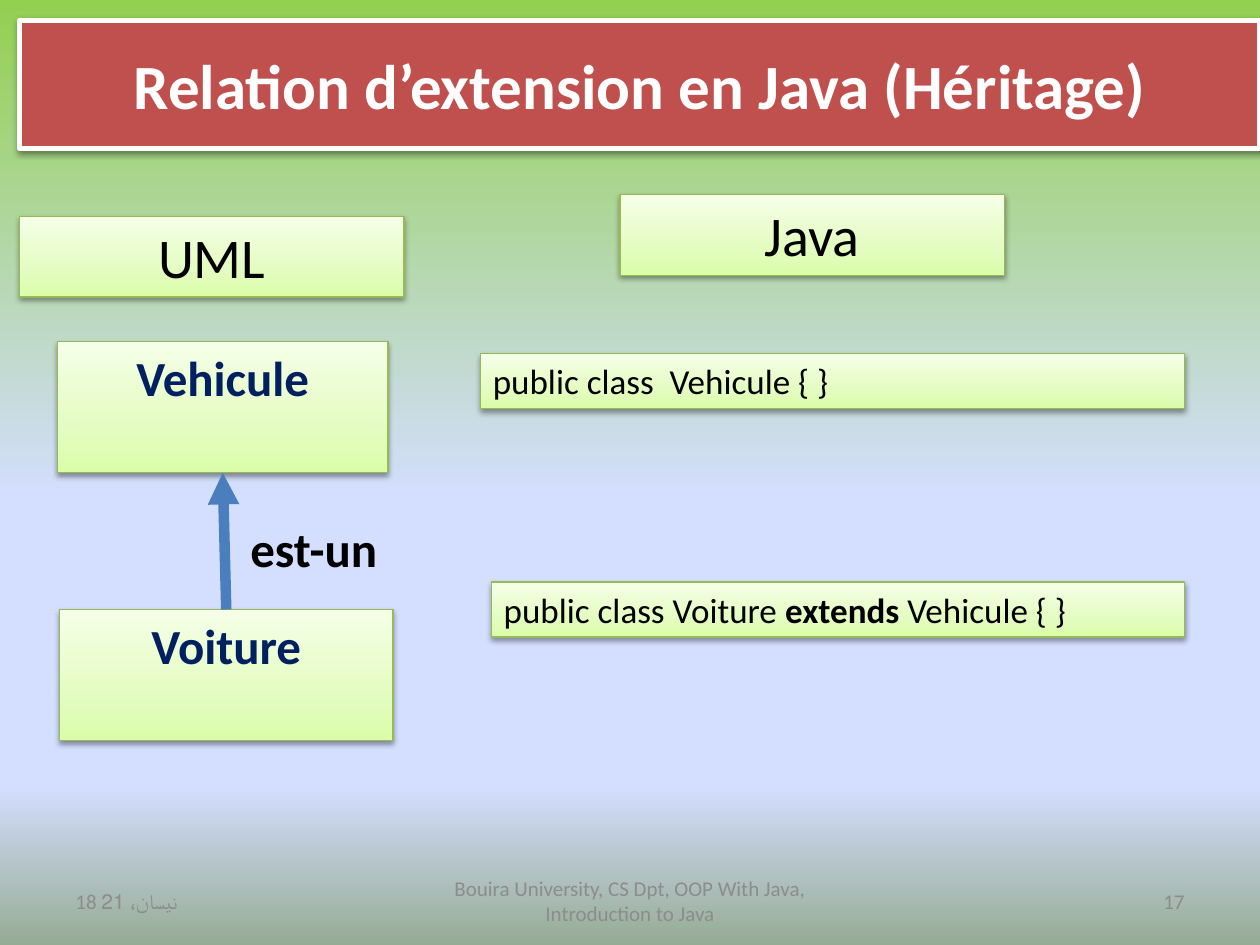
import pptx
import pptx.dml.color
import pptx.enum.shapes
import pptx.enum.text
import pptx.oxml
import pptx.oxml.ns
import pptx.util
from dataclasses import dataclass
from lxml import etree

Pt = pptx.util.Pt
ALIGN = pptx.enum.text.PP_ALIGN
ANCHOR = pptx.enum.text.MSO_ANCHOR
qn = pptx.oxml.ns.qn


@dataclass(frozen=True)
class Theme:
    font: str = "Calibri"
    title_size: int = 36
    heading_size: int = 32
    class_size: int = 28
    code_size: int = 20
    footer_size: int = 12
    white: str = "FFFFFF"
    black: str = "000000"
    navy: str = "002060"
    grey: str = "8C8C8C"
    red: str = "C0504D"
    blue: str = "4B7EBC"
    border: str = "98B955"
    panel: tuple = ((0, "DAFDA7"), (35, "E4FCC2"), (100, "F5FFE7"))
    backdrop: tuple = ((0, "92D050"), (53, "D4DEFF"), (83, "D4DEFF"), (100, "96AB94"))


def color(code):
    return pptx.dml.color.RGBColor.from_string(code)


def add_node(parent, tag, **attributes):
    values = {name: str(value) for name, value in attributes.items()}
    return etree.SubElement(parent, qn(tag), values)


class SlideBuilder:
    def __init__(self, page, theme):
        self.page = page
        self.theme = theme

    def gradient(self, fill, owner, stops, angle):
        """Fill with any number of stops; the angle runs counter-clockwise."""
        fill.gradient()
        fill.gradient_angle = angle
        stop_list = next(owner.iter(qn("a:gsLst")))
        for stop in list(stop_list):
            stop_list.remove(stop)
        for percent, code in stops:
            stop = add_node(stop_list, "a:gs", pos=percent * 1000)
            add_node(stop, "a:srgbClr", val=code)

    def background(self):
        self.gradient(self.page.background.fill, self.page.element, self.theme.backdrop, 270)

    def shadow(self, shape):
        shape.shadow.inherit = False
        effects = next(shape.element.iter(qn("a:effectLst")))
        outer = add_node(effects, "a:outerShdw", blurRad=Pt(3.1), dist=Pt(1.6),
                         dir=90 * 60000, rotWithShape=0)
        add_node(add_node(outer, "a:srgbClr", val=self.theme.black), "a:alpha", val=38000)

    def set_text(self, shape, spans, size, code, align, anchor, bold=False):
        """Fill one paragraph; spans is a string or (text, bold) pairs."""
        frame = shape.text_frame
        frame.word_wrap = True
        frame.vertical_anchor = anchor
        para = frame.paragraphs[0]
        para.alignment = align
        para.font.name = self.theme.font
        para.font.size = Pt(size)
        para.font.bold = bold
        para.font.color.rgb = color(code)
        if isinstance(spans, str):
            spans = [(spans, bold)]
        for text, heavy in spans:
            span = para.add_run()
            span.text = text
            if heavy != bold:
                span.font.bold = heavy

    def box(self, bounds, line_code, line_width):
        shape = self.page.shapes.add_shape(
            pptx.enum.shapes.MSO_SHAPE.RECTANGLE, *map(Pt, bounds))
        shape.line.color.rgb = color(line_code)
        shape.line.width = Pt(line_width)
        self.shadow(shape)
        return shape

    def title(self, bounds, text):
        shape = self.box(bounds, self.theme.white, 3)
        shape.fill.solid()
        shape.fill.fore_color.rgb = color(self.theme.red)
        self.set_text(shape, text, self.theme.title_size, self.theme.white,
                      ALIGN.CENTER, ANCHOR.MIDDLE, bold=True)

    def panel(self, bounds, spans, size, code, align=ALIGN.CENTER, bold=False):
        shape = self.box(bounds, self.theme.border, 0.75)
        self.gradient(shape.fill, shape.element, self.theme.panel, 90)
        self.set_text(shape, spans, size, code, align, ANCHOR.TOP, bold)

    def heading(self, left, top, text):
        self.panel((left, top, 219.6, 46), text, self.theme.heading_size, self.theme.black)

    def class_box(self, left, top, width, name):
        self.panel((left, top, width, 75), name, self.theme.class_size,
                   self.theme.navy, bold=True)

    def code(self, left, top, width, spans):
        self.panel((left, top, width, 31.5), spans, self.theme.code_size,
                   self.theme.black, ALIGN.LEFT)

    def label(self, bounds, text, size, code, align=ALIGN.LEFT, anchor=ANCHOR.TOP, bold=False):
        shape = self.page.shapes.add_textbox(*map(Pt, bounds))
        self.set_text(shape, text, size, code, align, anchor, bold)

    def footer(self, left, width, text, align):
        self.label((left, 500.5, width, 28.75), text, self.theme.footer_size,
                   self.theme.grey, align, ANCHOR.MIDDLE)

    def arrow(self, start, end):
        connector = self.page.shapes.add_connector(
            pptx.enum.shapes.MSO_CONNECTOR.STRAIGHT, *map(Pt, start + end))
        connector.line.color.rgb = color(self.theme.blue)
        connector.line.width = Pt(6)
        add_node(next(connector.element.iter(qn("a:ln"))), "a:tailEnd", type="triangle")
        add_node(connector.element.spPr, "a:effectLst")


def main():
    deck = pptx.Presentation()
    deck.slide_width, deck.slide_height = Pt(720), Pt(540)
    theme = Theme()
    slide = SlideBuilder(deck.slides.add_slide(deck.slide_layouts[6]), theme)

    slide.background()
    slide.title((11.25, 11.5, 708.75, 73.5), "Relation d’extension en Java (Héritage)")
    slide.heading(11.25, 123.75, "UML")
    slide.heading(354.3, 111.3, "Java")

    slide.footer(246, 228, "Bouira University, CS Dpt, OOP With Java, Introduction to Java",
                 ALIGN.CENTER)
    slide.footer(516, 168, "17", ALIGN.RIGHT)
    slide.footer(36, 168, "18 نيسان، 21", ALIGN.LEFT)

    slide.code(274.5, 202, 402.5, "public class  Vehicule { }")
    slide.code(280.75, 332.5, 396.25, [("public class Voiture ", False), ("extends ", True),
                                       ("Vehicule { }", False)])

    slide.class_box(32.9, 195.2, 188.8, "Vehicule")
    slide.class_box(34, 348.3, 190.6, "Voiture")
    slide.arrow((129.3, 348.3), (127.3, 270.2))
    slide.label((136, 292.5, 119, 41), "est-un", theme.class_size, theme.black, bold=True)

    deck.save("out.pptx")


if __name__ == "__main__":
    main()
